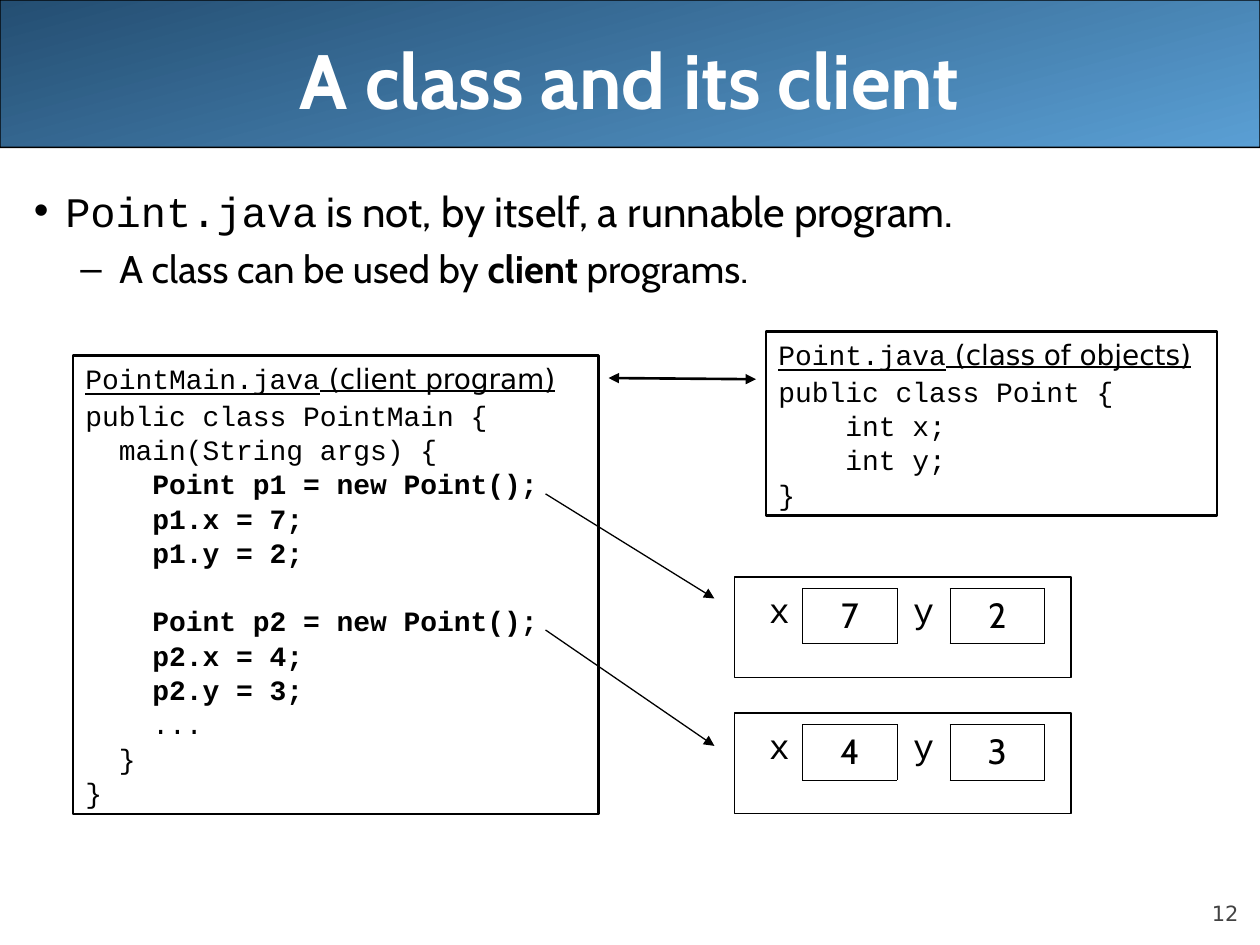
from lxml.etree import SubElement
from pptx import Presentation
from pptx.dml.color import RGBColor
from pptx.enum.shapes import MSO_CONNECTOR, MSO_SHAPE
from pptx.enum.text import MSO_ANCHOR, PP_ALIGN
from pptx.oxml.ns import qn
from pptx.util import Inches, Pt

HUES = {"ink": "000000", "white": "FFFFFF", "gray": "424242",
        "light": "5A9FD4", "dark": "244E72"}
SANS, MONO, PLAIN = "Cabin", "Courier New", "DejaVu Sans"
NO_STYLE = "{2D5ABB26-0587-4C30-8999-92F81FD0307C}"

CLIENT = """public class PointMain {
  main(String args) {
    Point p1 = new Point();
    p1.x = 7;
    p1.y = 2;

    Point p2 = new Point();
    p2.x = 4;
    p2.y = 3;
    ...
  }
}""".split("\n")
POINT = """public class Point {
    int x;
    int y;
}""".split("\n")


def color(name):
    return RGBColor.from_string(HUES[name])


def add_run(para, text, hue="ink", **style):
    run = para.add_run()
    run.text = text
    for key, value in style.items():
        setattr(run.font, key, value)
    run.font.color.rgb = color(hue)


def set_frame(frame, anchor=MSO_ANCHOR.TOP, pad=(0.1, 0.05)):
    values = {"word_wrap": True, "vertical_anchor": anchor,
              "margin_left": Inches(pad[0]), "margin_right": Inches(pad[0]),
              "margin_top": Inches(pad[1]), "margin_bottom": Inches(pad[1])}
    for key, value in values.items():
        setattr(frame, key, value)
    return frame


def add_text(slide, area, **frame):
    box = slide.shapes.add_textbox(*map(Inches, area))
    return set_frame(box.text_frame, **frame)


def add_box(slide, area, width, kind=MSO_SHAPE.RECTANGLE):
    box = slide.shapes.add_shape(kind, *map(Inches, area))
    box.shadow.inherit = False
    box.fill.background()
    box.line.color.rgb = color("ink")
    box.line.width = Pt(width)
    return box


def add_banner(slide):
    box = add_box(slide, (0, 0, 10, 1.17), 0.75, MSO_SHAPE.ROUNDED_RECTANGLE)
    box.adjustments[0] = 0.001
    box.fill.gradient()
    box.fill.gradient_angle = 105
    for stop, hue in zip(box.fill.gradient_stops, ("light", "dark")):
        stop.color.rgb = color(hue)


def add_bullet(para, mark, left, hang):
    props = para._p.get_or_add_pPr()
    props.set("marL", str(Inches(left)))
    props.set("indent", str(-Inches(hang)))
    SubElement(props, qn("a:buFont"), typeface="Arial")
    SubElement(props, qn("a:buChar"), char=mark)


def add_code(slide, area, name, note, lines, bold=()):
    frame = set_frame(add_box(slide, area, 1.5).text_frame)
    head = frame.paragraphs[0]
    head.alignment = PP_ALIGN.LEFT
    for text, font in ((name, MONO), (note, PLAIN)):
        add_run(head, text, name=font, size=Pt(16), underline=True)
    for row, line in enumerate(lines):
        para = frame.add_paragraph()
        para.alignment = PP_ALIGN.LEFT
        para.line_spacing = 0.5
        para.space_before = Pt(10)
        add_run(para, line, name=MONO, size=Pt(16), bold=row in bold)


def set_edges(cell, sides):
    props = cell._tc.get_or_add_tcPr()
    for side in sides:
        edge = SubElement(props, qn("a:ln" + side), w=str(Pt(0.45)))
        fill = SubElement(edge, qn("a:solidFill"))
        SubElement(fill, qn("a:srgbClr"), val=HUES["ink"])


def add_object(slide, top, x, y):
    add_box(slide, (5.83, top, 2.67, 0.8), 0.75)
    area = map(Inches, (6, top + 0.09, 2.29, 0.44))
    holder = slide.shapes.add_table(1, 4, *area)
    table = holder.table
    table.first_row = table.horz_banding = False
    next(holder._element.iter(qn("a:tableStyleId"))).text = NO_STYLE
    cells = (("x", MONO, 0.37, "R"), (x, SANS, 0.75, "LRTB"),
             ("y", MONO, 0.42, "LR"), (y, SANS, 0.75, "LRTB"))
    for col, (text, font, width, sides) in enumerate(cells):
        table.columns[col].width = Inches(width)
        cell = table.cell(0, col)
        set_edges(cell, sides)
        cell.fill.background()
        para = cell.text_frame.paragraphs[0]
        para.alignment = PP_ALIGN.CENTER
        add_run(para, text, name=font, size=Pt(20))


def add_arrow(slide, ends, width=0.75, tips=("tailEnd",)):
    line = slide.shapes.add_connector(MSO_CONNECTOR.STRAIGHT,
                                      *map(Inches, ends))
    line.line.color.rgb = color("ink")
    line.line.width = Pt(width)
    edge = line.line._get_or_add_ln()
    for tip in tips:
        SubElement(edge, qn("a:" + tip), type="triangle")
    SubElement(line._element.spPr, qn("a:effectLst"))


def main():
    deck = Presentation()
    deck.slide_width, deck.slide_height = Inches(10), Inches(7.5)
    slide = deck.slides.add_slide(deck.slide_layouts[6])

    # Banner, page number and title
    add_banner(slide)
    page = add_text(slide, (9, 6.95, 0.83, 0.4), anchor=MSO_ANCHOR.BOTTOM,
                    pad=(0, 0)).paragraphs[0]
    page.alignment = PP_ALIGN.RIGHT
    add_run(page, "12", "gray", name=PLAIN, size=Pt(12))
    title = add_text(slide, (0.5, 0, 9, 1.25),
                     anchor=MSO_ANCHOR.MIDDLE).paragraphs[0]
    title.alignment = PP_ALIGN.CENTER
    add_run(title, "A class and its client", "white",
            name=SANS, size=Pt(44), bold=True)

    # Bullets
    body = add_text(slide, (0.17, 1.42, 9.83, 5.67))
    first, second = body.paragraphs[0], body.add_paragraph()
    add_bullet(first, "•", 0.25, 0.25)
    add_run(first, "Point.java", name=MONO, size=Pt(24))
    add_run(first, " is not, by itself, a runnable program.",
            name=SANS, size=Pt(24))
    second.level = 1
    add_bullet(second, "–", 0.68, 0.31)
    second.space_before = Pt(5.5)
    for text, bold in (("A class can be used by ", False),
                       ("client", True), (" programs.", False)):
        add_run(second, text, name=SANS, size=Pt(22), bold=bold)

    # Source files
    add_code(slide, (0.58, 2.82, 4.17, 3.64), "PointMain.java",
             " (client program)", CLIENT, range(2, 9))
    add_code(slide, (6.08, 2.63, 3.58, 1.46), "Point.java",
             " (class of objects)", POINT)

    # Objects in memory
    add_object(slide, 4.58, "7", "2")
    add_object(slide, 5.66, "4", "3")

    # Arrows
    add_arrow(slide, (4.83, 3, 6, 3.01), 1.5, ("headEnd", "tailEnd"))
    add_arrow(slide, (4.33, 3.92, 5.67, 4.75))
    add_arrow(slide, (4.33, 5, 5.67, 5.92))

    deck.save("out.pptx")


if __name__ == "__main__":
    main()
